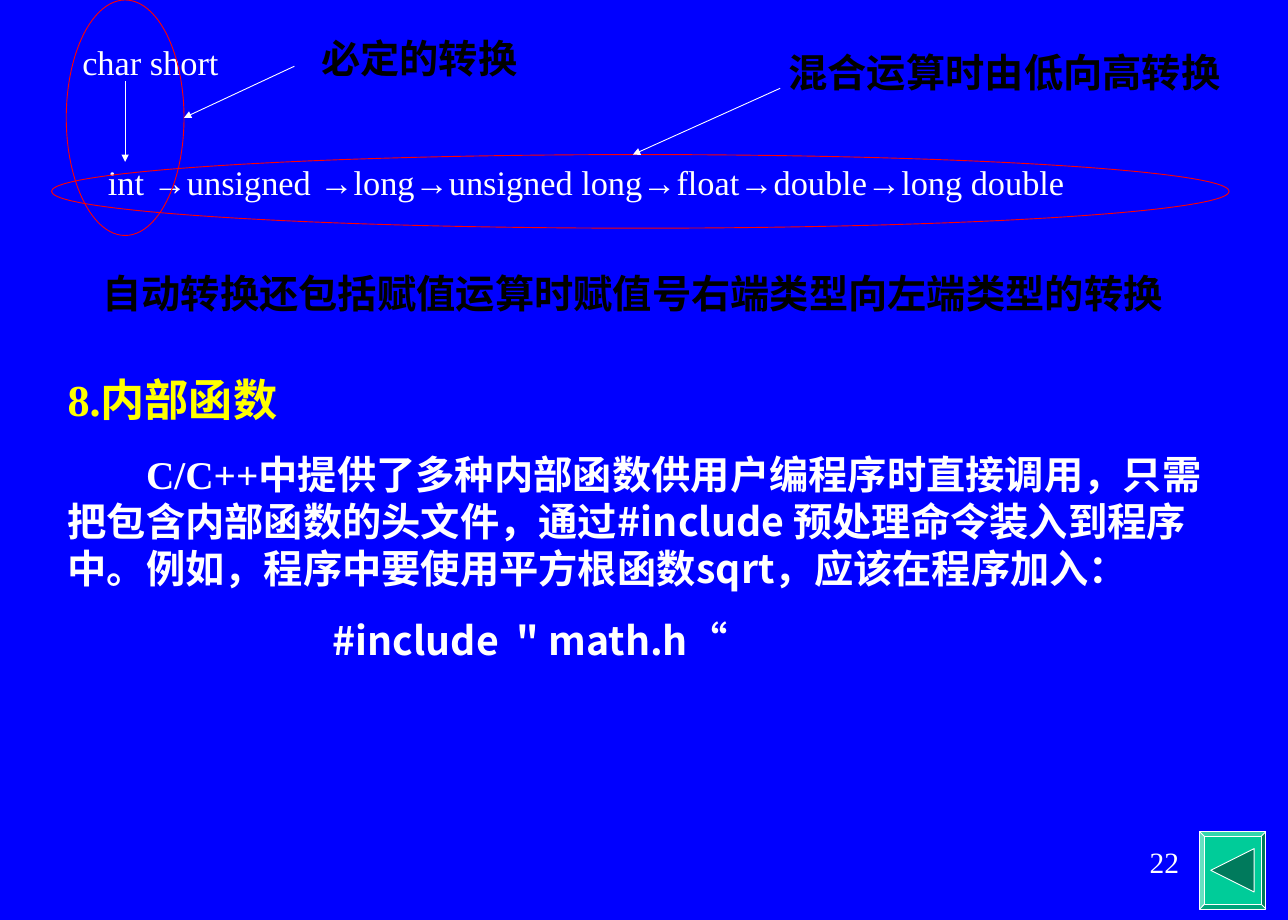
from lxml import etree
from pptx import Presentation
from pptx.dml.color import RGBColor
from pptx.enum.shapes import MSO_CONNECTOR, MSO_SHAPE
from pptx.enum.text import PP_ALIGN
from pptx.oxml.ns import qn
from pptx.util import Inches, Pt

LEFT, CENTER, RIGHT, JUSTIFY = PP_ALIGN.LEFT, PP_ALIGN.CENTER, PP_ALIGN.RIGHT, PP_ALIGN.JUSTIFY
STRAIGHT = MSO_CONNECTOR.STRAIGHT
ELLIPSE, BEVEL = MSO_SHAPE.OVAL, MSO_SHAPE.BEVEL
SERIF, SANS = "Times New Roman", "Noto Sans CJK SC"
COLORS = {"back": "0000FF", "white": "FFFFFF", "black": "000000", "red": "FF0000",
          "yellow": "FFFF00", "button": "00CC99", "arrow": "007A5C"}
COLUMNS, ROWS = 175, 125


def rgb(name):
    """Return the named colour."""
    return RGBColor.from_string(COLORS[name])


def add_text(p, text, size=32, color="white", bold=False, font=SERIF):
    """Add a formatted run to a paragraph."""
    r = p.add_run()
    r.text = text
    r.font.size, r.font.bold, r.font.name = Pt(size), bold, font
    r.font.color.rgb = rgb(color)
    etree.SubElement(r.font._element, qn("a:ea"), typeface=SANS)


class ConversionSlide:
    """Draw elements on one slide, measured in grid columns and rows."""

    def __init__(self, prs):
        """Add a blank slide with a plain background."""
        self.s = prs.slides.add_slide(prs.slide_layouts[6])
        self.cell = prs.slide_width / COLUMNS
        fill = self.s.background.fill
        fill.solid()
        fill.fore_color.rgb = rgb("back")

    def grid(self, *cells):
        """Convert grid cells to lengths."""
        return [round(n * self.cell) for n in cells]

    def style(self, sp, line, fill=None):
        """Set outline and fill without a shadow."""
        sp.shadow.inherit = False
        sp.line.color.rgb, sp.line.width = rgb(line), Pt(0.75)
        if fill:
            sp.fill.solid()
            sp.fill.fore_color.rgb = rgb(fill)
        else:
            sp.fill.background()

    def shape(self, kind, box, line, fill=None):
        """Add a preset shape."""
        sp = self.s.shapes.add_shape(kind, *self.grid(*box))
        self.style(sp, line, fill)
        return sp

    def polygon(self, points, line, fill):
        """Add a closed outline."""
        start, *rest = [self.grid(*point) for point in points]
        builder = self.s.shapes.build_freeform(*start)
        builder.add_line_segments(rest, close=True)
        self.style(builder.convert_to_shape(), line, fill)

    def arrow(self, *ends):
        """Add a line with an arrowhead at its end."""
        c = self.s.shapes.add_connector(STRAIGHT, *self.grid(*ends))
        c.line.color.rgb, c.line.width = rgb("white"), Pt(0.75)
        etree.SubElement(c.line._get_or_add_ln(), qn("a:tailEnd"), type="triangle")
        etree.SubElement(c._element.spPr, qn("a:effectLst"))

    def text(self, box, paragraphs, align=LEFT, inset=0.1):
        """Add paragraphs given as (runs, space before, margin, first indent)."""
        tf = self.s.shapes.add_textbox(*self.grid(*box)).text_frame
        tf.word_wrap = True
        tf.margin_left = tf.margin_right = Inches(inset)
        tf.margin_top = tf.margin_bottom = Inches(inset / 2)
        for i, (runs, before, margin, indent) in enumerate(paragraphs):
            p = tf.add_paragraph() if i else tf.paragraphs[0]
            p.alignment, p.space_before = align, Pt(before)
            pPr = p._p.get_or_add_pPr()
            pPr.set("marL", str(Inches(margin)))
            pPr.set("indent", str(Inches(indent)))
            for text, kw in runs:
                add_text(p, text, **kw)

    def label(self, box, text):
        """Add a centred black heading."""
        self.text(box, [([(text, {"color": "black", "bold": True})], 0, 0, 0)], CENTER)


def main():
    """Build the slide and save it."""
    prs = Presentation()
    prs.slide_width, prs.slide_height = Inches(COLUMNS / 12), Inches(ROWS / 12)
    slide = ConversionSlide(prs)

    slide.shape(BEVEL, (163, 113, 9, 10.5), "white", "button").adjustments[0] = 0.07
    slide.polygon([(164.5, 118.25), (170.4, 115.3), (170.4, 121.2)], "white", "arrow")

    plain = {"size": 28}
    chain = "int →unsigned →long→unsigned long→float→double→long double"
    slide.text((10, 5, 147, 30), [([("char short", plain)], 0, 0, 0),
                                  ([(chain, plain)], 64, 0, 0.29)], JUSTIFY)
    for box in ((9, 0, 16, 32), (7, 21, 160, 10)):
        slide.shape(ELLIPSE, box, "red")
    for ends in ((17, 11, 17, 22), (40, 9, 25, 16), (106, 12, 86, 21)):
        slide.arrow(*ends)
    for box, text in (((42, 4, 30, 7.7), "必定的转换"),
                      ((104, 6, 65, 7.7), "混合运算时由低向高转换"),
                      ((11, 36, 150, 7.7), "自动转换还包括赋值运算时赋值号右端类型向左端类型的转换")):
        slide.label(box, text)

    title = {"size": 36, "color": "yellow", "bold": True}
    serif, sans = {"bold": True}, {"bold": True, "font": SANS}
    explanation = ("内部函数供用户编程序时直接调用，只需把包含内部函数的头文件，通过#include 预处理命令装入到程序中。"
                   "例如，程序中要使用平方根函数sqrt，应该在程序加入：")
    slide.text((8, 50, 157, 50.4), [
        ([("8.内部函数", title)], 0, 0, 0),
        ([("C/C++中提供了多种", serif), (explanation, sans)], 20, 0, 0.89),
        ([('#include  " math.h“', sans)], 20, 3, 0)])
    slide.text((125.4, 113.9, 36.5, 8.3), [([("22", {"size": 24})], 0, 0, 0)], RIGHT, 0.14)
    prs.save("out.pptx")


if __name__ == "__main__":
    main()
